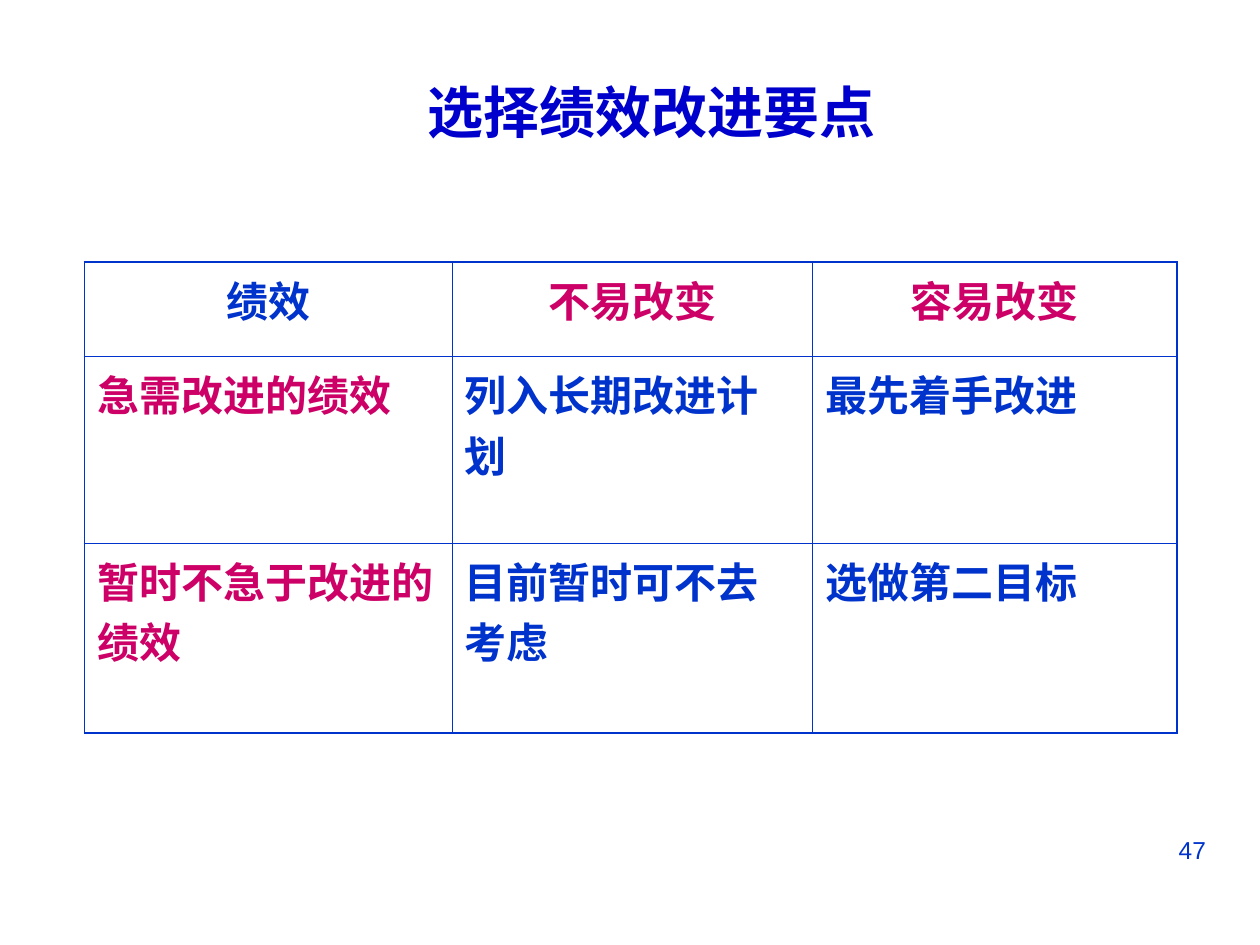
"""Build the slide on choosing performance improvement points."""
from dataclasses import dataclass

from lxml import etree
from pptx import Presentation
from pptx import util as u
from pptx.dml.color import RGBColor
from pptx.enum import text
from pptx.oxml.ns import qn

PX = 9144
BLUE = "0033CC"
PINK = "CC0066"
THICK, THIN = 1.08, 0.45
COLS = (292, 286, 289)
ROWS = (75, 148, 151)
ALIGN = text.PP_ALIGN


@dataclass(frozen=True)
class Entry:
    """Wording and colour of one table cell."""
    words: str
    color: str


GRID = (
    (Entry("绩效", BLUE), Entry("不易改变", PINK), Entry("容易改变", PINK)),
    (Entry("急需改进的绩效", PINK), Entry("列入长期改进计划", BLUE), Entry("最先着手改进", BLUE)),
    (Entry("暂时不急于改进的绩效", PINK), Entry("目前暂时可不去考虑", BLUE), Entry("选做第二目标", BLUE)),
)


def px(n: int) -> u.Emu:
    """Turn px into EMU."""
    return u.Emu(n * PX)


def rgb(color: str) -> RGBColor:
    """Turn a hex string into a colour."""
    return RGBColor.from_string(color)


def write(tf, words: str, *, size: int, color: str, bold: bool = False, align=ALIGN.LEFT) -> None:
    """Write one formatted paragraph into a text frame."""
    tf.word_wrap = True
    p = tf.paragraphs[0]
    p.alignment = align
    r = p.add_run()
    r.text = words
    r.font.name = "Arial"
    r.font.size = u.Pt(size)
    r.font.bold = bold
    r.font.color.rgb = rgb(color)


def set_borders(cell, widths: dict[str, float]) -> None:
    """Draw the four borders of a cell, given in points."""
    tc_pr = cell._tc.get_or_add_tcPr()
    for i, (tag, width) in enumerate(widths.items()):
        ln = etree.Element(qn(f"a:{tag}"), w=str(int(u.Pt(width))))
        fill = etree.SubElement(ln, qn("a:solidFill"))
        etree.SubElement(fill, qn("a:srgbClr"), val=BLUE)
        tc_pr.insert(i, ln)


def add_grid(s, left: int, top: int) -> None:
    """Add the table with a thick outline and thin inner lines."""
    frame = s.shapes.add_table(len(ROWS), len(COLS), px(left), px(top), px(sum(COLS)), px(sum(ROWS)))
    table = frame.table
    table.first_row = table.horz_banding = False
    for col, width in zip(table.columns, COLS):
        col.width = px(width)
    for row, height in zip(table.rows, ROWS):
        row.height = px(height)
    last_row, last_col = len(ROWS) - 1, len(COLS) - 1
    for i, entries in enumerate(GRID):
        for j, entry in enumerate(entries):
            cell = table.cell(i, j)
            cell.fill.background()
            write(cell.text_frame, entry.words, size=24, color=entry.color, bold=True,
                  align=ALIGN.LEFT if i else ALIGN.CENTER)
            set_borders(cell, {
                "lnL": THIN if j else THICK,
                "lnR": THICK if j == last_col else THIN,
                "lnT": THIN if i else THICK,
                "lnB": THICK if i == last_row else THIN,
            })


def main() -> None:
    """Build and save the slide."""
    prs = Presentation()
    prs.slide_width, prs.slide_height = px(1000), px(750)
    s = prs.slides.add_slide(prs.slide_layouts[5])

    number = s.shapes.add_textbox(px(717), px(658), px(250), px(52))
    write(number.text_frame, "47", size=14, color=BLUE, align=ALIGN.RIGHT)

    title = s.shapes.title
    title.left, title.top, title.width, title.height = px(50), px(42), px(934), px(92)
    title.text_frame.vertical_anchor = text.MSO_ANCHOR.MIDDLE
    write(title.text_frame, "选择绩效改进要点", size=32, color="0000CC", bold=True, align=ALIGN.CENTER)

    add_grid(s, 67, 208)
    prs.save("out.pptx")


if __name__ == "__main__":
    main()
